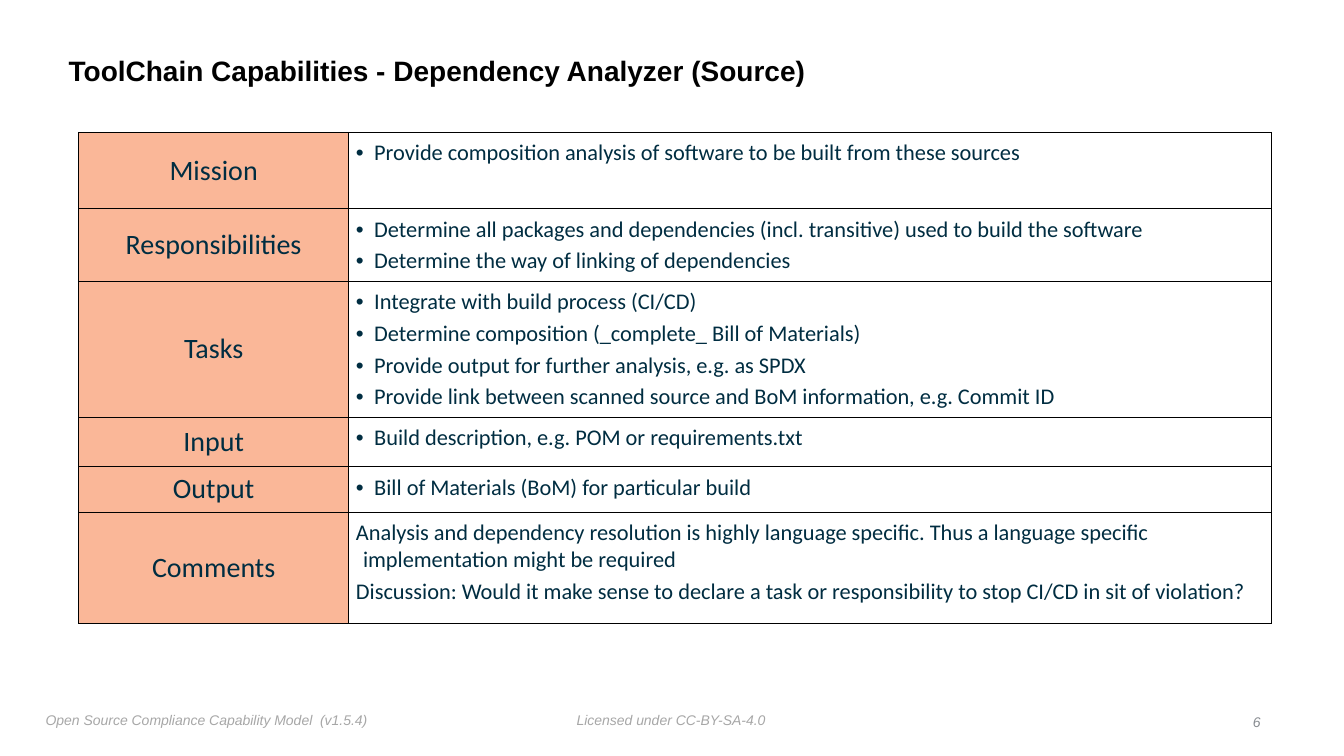
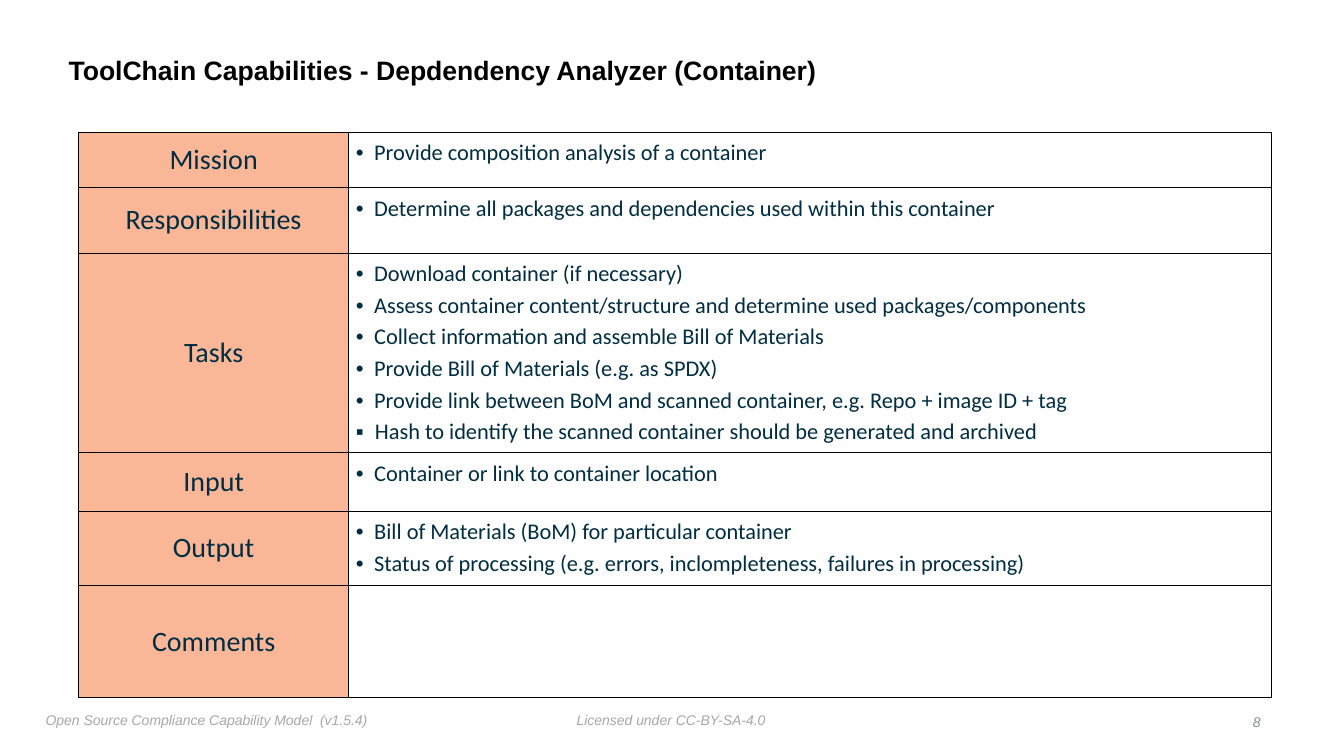
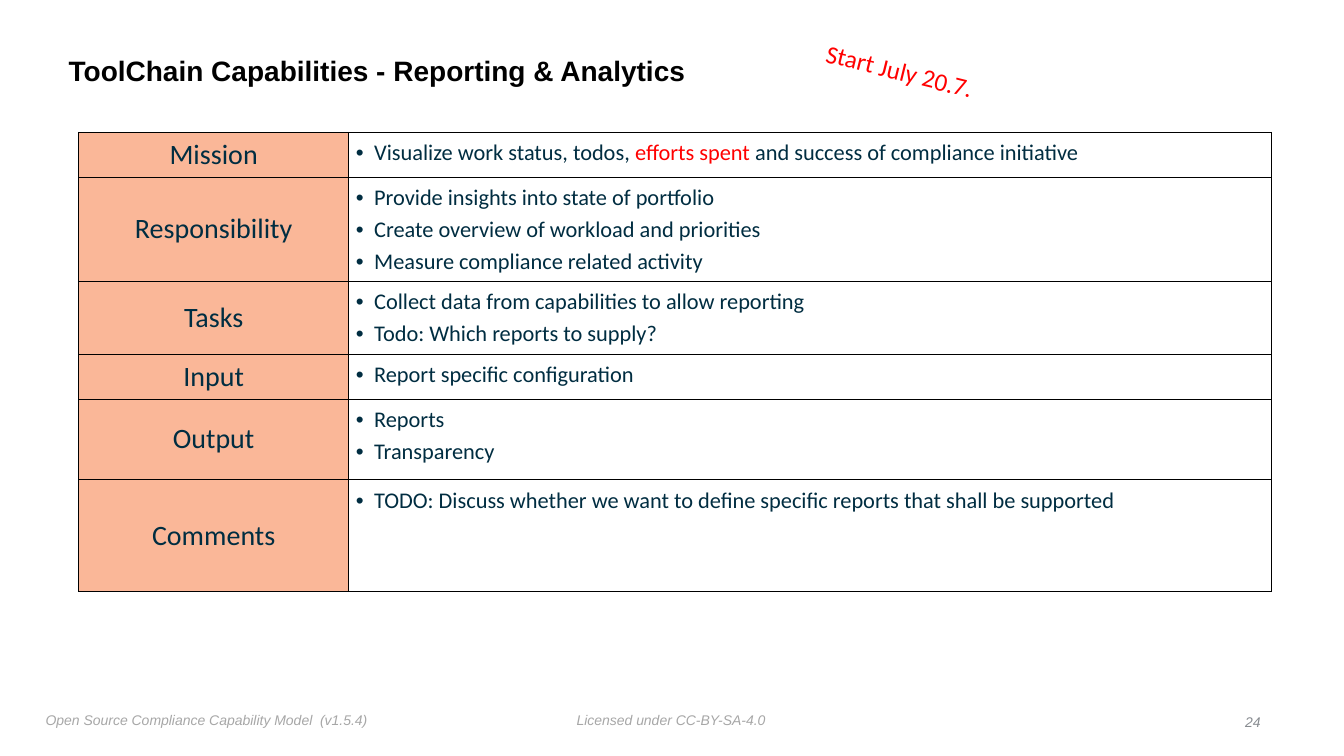
from lxml import etree
from pptx import Presentation
from pptx.dml.color import RGBColor
from pptx.enum import text
from pptx.oxml.ns import qn
from pptx.util import Cm, Pt

INK, BLACK, RED = "002D41", "000000", "FF0000"
LABEL_FILL = "FAB798"
HIGHLIGHT = "efforts spent "
BULLET, SQUARE, NO_BULLET = "•", "▪", ""

TITLE = {"name": "Arial", "bold": True}
FOOTER = {"name": "Arial", "size": Pt(10), "italic": True}
LABEL = {"name": "Calibri", "size": Pt(20)}
BODY = {"name": "Calibri", "size": Pt(16)}
NOTE = {"name": "Calibri", "size": Pt(18)}

# Left, top, width and height in cm
TITLE_BOX = (1.6, 0.99, 27.3, 1.65)
NOTE_BOX = (20.65, 1.32, 4.5, 1.02)
FOOTERS = [
    ("Licensed under CC-BY-SA-4.0", (14.4, 17.81, 5.05, 0.64)),
    ("Open Source Compliance Capability Model  (v1.5.4)", (1.02, 17.81, 8.43, 0.69)),
]
NUMBER_RIGHT = 31.9
TABLE_LEFT, TABLE_TOP = 1.98, 3.33
COLUMN_WIDTHS = (6.81, 23.26)
INDENTS = {BULLET: 0.46, SQUARE: 0.48, NO_BULLET: 0.18}

# Each row: label, height in cm, then lines; a line is text or (bullet, text)
SLIDES = [
    {
        "title": "ToolChain Capabilities - Dependency Analyzer (Source)",
        "title_size": 20,
        "number": "6",
        "rows": [
            ("Mission", 1.93, ["Provide composition analysis of software to be built from these sources"]),
            ("Responsibilities", 1.83, [
                "Determine all packages and dependencies (incl. transitive) used to build the software",
                "Determine the way of linking of dependencies",
            ]),
            ("Tasks", 3.43, [
                "Integrate with build process (CI/CD)",
                "Determine composition (_complete_ Bill of Materials)",
                "Provide output for further analysis, e.g. as SPDX",
                "Provide link between scanned source and BoM information, e.g. Commit ID",
            ]),
            ("Input", 1.24, ["Build description, e.g. POM or requirements.txt"]),
            ("Output", 1.14, ["Bill of Materials (BoM) for particular build"]),
            ("Comments", 2.82, [
                (NO_BULLET, "Analysis and dependency resolution is highly language specific. "
                            "Thus a language specific implementation might be required"),
                (NO_BULLET, "Discussion: Would it make sense to declare a task or responsibility "
                            "to stop CI/CD in sit of violation?"),
            ]),
        ],
    },
    {
        "title": "ToolChain Capabilities - Depdendency Analyzer (Container)",
        "title_size": 19,
        "number": "8",
        "rows": [
            ("Mission", 1.4, ["Provide composition analysis of a container"]),
            ("Responsibilities", 1.65, ["Determine all packages and dependencies used within this container"]),
            ("Tasks", 5.03, [
                "Download container (if necessary)",
                "Assess container content/structure and determine used packages/components",
                "Collect information and assemble Bill of Materials",
                "Provide Bill of Materials (e.g. as SPDX)",
                "Provide link between BoM and scanned container, e.g. Repo + image ID + tag",
                (SQUARE, "Hash to identify the scanned container should be generated and archived"),
            ]),
            ("Input", 1.47, ["Container or link to container location"]),
            ("Output", 1.88, [
                "Bill of Materials (BoM) for particular container",
                "Status of processing (e.g. errors, inclompleteness, failures in processing)",
            ]),
            ("Comments", 2.82, []),
        ],
    },
    {
        "title": "ToolChain Capabilities - Reporting & Analytics",
        "title_size": 20,
        "number": "24",
        "note": "Start July 20.7.",
        "rows": [
            ("Mission", 1.14, [
                "Visualize work status, todos, efforts spent and success of compliance initiative",
            ]),
            ("Responsibility", 2.62, [
                "Provide insights into state of portfolio",
                "Create overview of workload and priorities",
                "Measure compliance related activity",
            ]),
            ("Tasks", 1.83, [
                "Collect data from capabilities to allow reporting",
                "Todo: Which reports to supply?",
            ]),
            ("Input", 1.14, ["Report specific configuration"]),
            ("Output", 2.03, ["Reports", "Transparency"]),
            ("Comments", 2.82, [
                "TODO: Discuss whether we want to define specific reports that shall be supported",
            ]),
        ],
    },
]


def add_run(paragraph, words, color, font_format):
    run = paragraph.add_run()
    run.text = words
    for name, value in font_format.items():
        setattr(run.font, name, value)
    run.font.color.rgb = RGBColor.from_string(color)


def add_text(slide, words, box, color, font_format, wrap=False):
    """Add a one-line text box; without wrap it fits its text."""
    shape = slide.shapes.add_textbox(*map(Cm, box))
    frame = shape.text_frame
    frame.word_wrap = wrap
    frame.auto_size = text.MSO_AUTO_SIZE.NONE if wrap else text.MSO_AUTO_SIZE.SHAPE_TO_FIT_TEXT
    for side in ("left", "right", "top", "bottom"):
        setattr(frame, f"margin_{side}", Cm(0.13))
    add_run(frame.paragraphs[0], words, color, font_format)
    return shape


presentation = Presentation()
presentation.slide_width, presentation.slide_height = Cm(33.87), Cm(19.05)

for content in SLIDES:
    slide = presentation.slides.add_slide(presentation.slide_layouts[6])
    for words, box in FOOTERS:
        add_text(slide, words, box, "A7A7A7", FOOTER)

    title_format = TITLE | {"size": Pt(content["title_size"])}
    title = add_text(slide, content["title"], TITLE_BOX, BLACK, title_format, wrap=True)
    title.text_frame.vertical_anchor = text.MSO_ANCHOR.MIDDLE
    title.text_frame.paragraphs[0].line_spacing = 0.9

    rows = content["rows"]
    table = slide.shapes.add_table(
        len(rows), 2, Cm(TABLE_LEFT), Cm(TABLE_TOP),
        Cm(sum(COLUMN_WIDTHS)), Cm(sum(height for _, height, _ in rows)),
    ).table
    table.first_row = table.horz_banding = False
    for column, width in zip(table.columns, COLUMN_WIDTHS):
        column.width = Cm(width)

    for row, (label, height, lines) in zip(table.rows, rows):
        row.height = Cm(height)
        label_cell, body_cell = row.cells
        for cell, margin in ((label_cell, 0), (body_cell, 0.18)):
            for side in ("left", "right", "top", "bottom"):
                setattr(cell, f"margin_{side}", Cm(margin))
            properties = cell._tc.get_or_add_tcPr()
            for edge in ("lnL", "lnR", "lnT", "lnB"):
                border = etree.SubElement(properties, qn(f"a:{edge}"), w=str(Pt(0.5)))
                solid = etree.SubElement(border, qn("a:solidFill"))
                etree.SubElement(solid, qn("a:srgbClr"), val=BLACK)

        label_cell.fill.solid()
        label_cell.fill.fore_color.rgb = RGBColor.from_string(LABEL_FILL)
        label_cell.vertical_anchor = text.MSO_ANCHOR.MIDDLE
        paragraph = label_cell.text_frame.paragraphs[0]
        paragraph.alignment = text.PP_ALIGN.CENTER
        add_run(paragraph, label, INK, LABEL)

        body_cell.fill.background()
        frame = body_cell.text_frame
        for index, line in enumerate(lines):
            bullet, words = (BULLET, line) if isinstance(line, str) else line
            paragraph = frame.add_paragraph() if index else frame.paragraphs[0]
            paragraph.space_before = Pt(3)
            properties = paragraph._p.get_or_add_pPr()
            indent = Cm(INDENTS[bullet])
            properties.set("marL", str(indent))
            properties.set("indent", str(-indent))
            if bullet:
                etree.SubElement(properties, qn("a:buFont"), typeface="Arial")
                etree.SubElement(properties, qn("a:buChar"), char=bullet)
            for part in filter(None, words.partition(HIGHLIGHT)):
                add_run(paragraph, part, RED if part == HIGHLIGHT else INK, BODY)

    number_width = 0.28 + 0.2 * len(content["number"])
    number_box = (NUMBER_RIGHT - number_width, 17.86, number_width, 0.64)
    number = add_text(slide, content["number"], number_box, "888C91", FOOTER)
    number.text_frame.vertical_anchor = text.MSO_ANCHOR.MIDDLE
    number.text_frame.paragraphs[0].alignment = text.PP_ALIGN.RIGHT

    if "note" in content:
        note = add_text(slide, content["note"], NOTE_BOX, RED, NOTE)
        note.rotation = 13.9

presentation.save("out.pptx")
